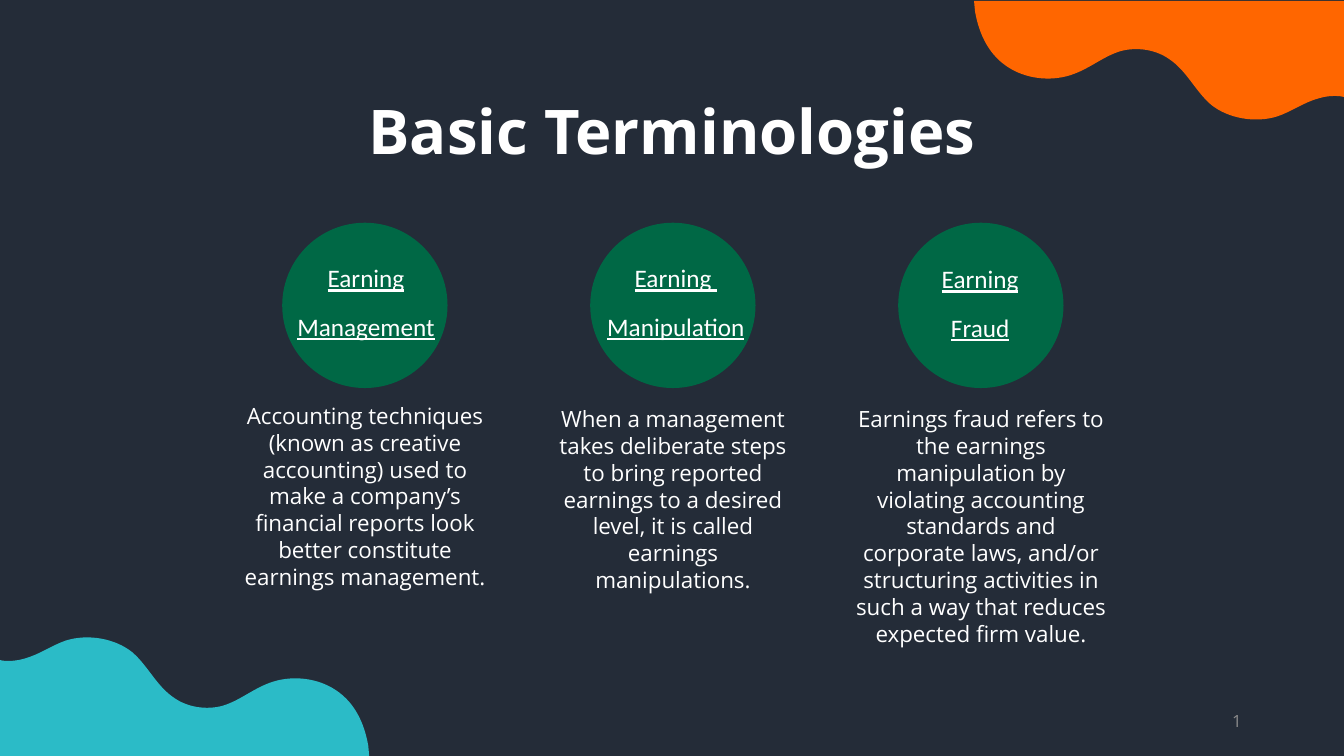
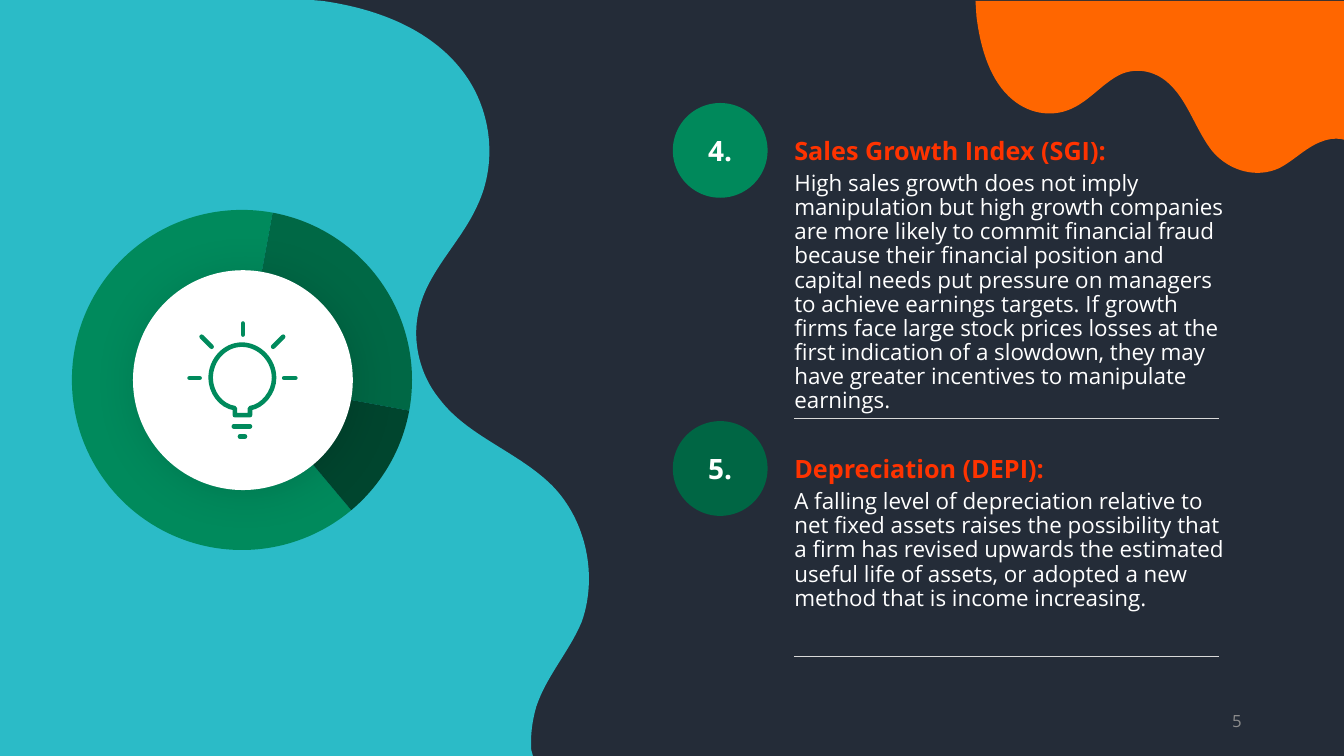
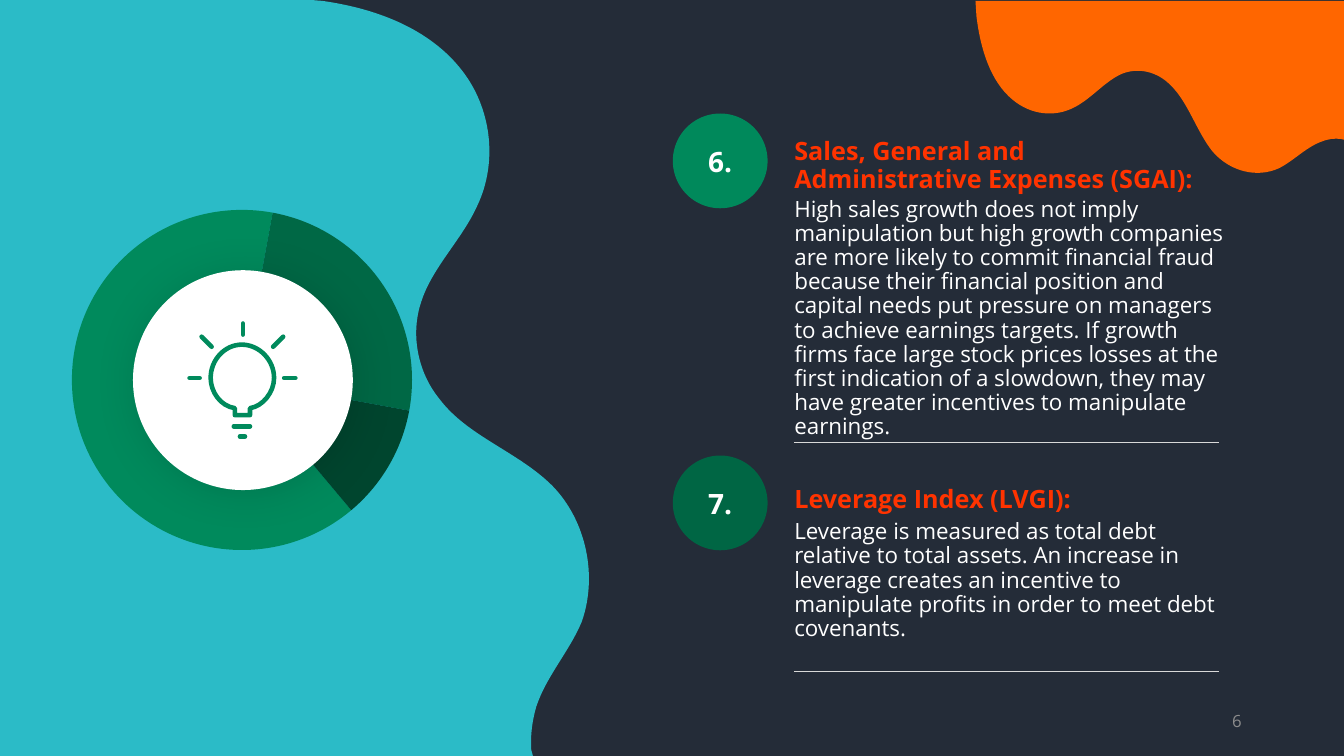
import pptx
import pptx.chart.data
import pptx.dml.color
import pptx.enum.chart
import pptx.enum.shapes
import pptx.enum.text
import pptx.oxml
import pptx.oxml.ns
import pptx.util
from lxml import etree

Pt = pptx.util.Pt
qn = pptx.oxml.ns.qn
ALIGN = pptx.enum.text.PP_ALIGN
ANCHOR = pptx.enum.text.MSO_ANCHOR
SHAPE = pptx.enum.shapes.MSO_SHAPE
FONT = "Open Sans"
COLORS = {
    "navy": "242C38", "teal": "2BBBC7", "orange": "FF6600", "white": "FFFFFF",
    "grey": "8C8C8C", "rule": "D9D9D9", "heading": "FF3300", "black": "000000",
    "first": "00895B", "second": "006644", "label": "006845",
    "ring1": "008A5C", "ring2": "006845", "ring3": "00452E",
}

DRIP_SIZE = (264.2, 123.1)
DRIP = [
    (264.2, 0), (0, 0), (0.7, 10.8),
    (3.6, 34.6, 10.8, 57.6, 26.6, 70.6),
    (39.6, 81.4, 56.9, 83.5, 71.3, 75.6),
    (83.5, 69.1, 92.9, 56.9, 105.1, 51.8),
    (116.6, 47.5, 129.6, 50.4, 139, 59.8),
    (151.9, 72, 157.7, 92.9, 169.2, 107.3),
    (181.4, 121.7, 200.9, 126.7, 216.7, 119.5),
    (226.8, 114.5, 235.4, 105.1, 246.2, 100.8),
    (251.3, 98.6, 256.3, 97.9, 261.4, 98.6), (264.2, 99.4),
]
BANK_SIZE = (421.9, 542.2)
BANK = [
    (0, 0), (214.6, 0), (231.8, 1.4),
    (272.9, 7.2, 311.8, 23, 334.1, 54.7),
    (352.8, 81.4, 356.4, 117.4, 342.7, 146.9),
    (331.9, 171.4, 310.3, 191.5, 302.4, 216),
    (294.5, 239, 299.5, 266.4, 315.4, 285.8),
    (335.5, 312.5, 371.5, 323.3, 396, 347.8),
    (420.5, 373, 428.4, 412.6, 416.9, 445),
    (408.2, 465.8, 391.7, 483.8, 384.5, 505.4),
    (381.6, 515.5, 380.2, 525.6, 380.9, 536.4),
    (382.3, 541.4), (382.3, 542.2), (0, 542.2),
]
BULB_SIZE = (45.3, 50.4)
BULB = [
    (45.3, 23.8),
    (45.3, 10.8, 34.5, 0, 22.3, 0),
    (10.1, 0, 0, 10.8, 0, 23.8),
    (0, 33.9, 7.2, 44, 17.3, 45.4),
    (17.3, 50.4), (28.1, 50.4), (28.1, 45.4),
    (37.4, 44, 45.3, 33.9, 45.3, 23.8),
]
BULB_STROKES = [
    (175, 311.8, 171.4, 311.8), (178.6, 304.6, 167, 304.6),
    (173.5, 231.1, 173.5, 239), (211, 270, 203, 270),
    (135.4, 270, 142.6, 270), (144, 240.5, 151.2, 247.7),
    (202.3, 240.5, 195.1, 247.7),
]
GROWTH = (
    "High sales growth does not imply manipulation but high growth companies are "
    "more likely to commit financial fraud because their financial position and "
    "capital needs put pressure on managers to achieve earnings targets. If growth "
    "firms face large stock prices losses at the first indication of a slowdown, "
    "they may have greater incentives to manipulate earnings."
)
TERMS = [
    (["Earning", "Management"], (168.5, 180.7, 149.8, 67.7), 287.1, 135.4,
     "Accounting techniques (known as creative accounting) used to make a company’s "
     "financial reports look better constitute earnings management."),
    (["Earning ", "Manipulation"], (389.5, 180.7, 150.5, 67.7), 289.3, 97.2,
     "When a management takes deliberate steps to bring reported earnings to a "
     "desired level, it is called earnings manipulations."),
    (["Earning", "Fraud"], (628.8, 181.4, 106.6, 66.2), 289.3, 154.8,
     "Earnings fraud refers to the earnings manipulation by violating accounting "
     "standards and corporate laws, and/or structuring activities in such a way "
     "that reduces expected firm value."),
]
INDEX_SLIDES = [
    ("5", [
        ("4.", "Sales Growth Index (SGI):", GROWTH,
         73.6, (99.4, 298, 19.4), (122.9, 157), 298.8),
        ("5.", "Depreciation (DEPI):",
         "A falling level of depreciation relative to net fixed assets raises the "
         "possibility that a firm has revised upwards the estimated useful life of "
         "assets, or adopted a new method that is income increasing.",
         300.8, (326.6, 254.2, 19.4), (350.2, 87.1), 468.7),
    ]),
    ("6", [
        ("6.", "Sales, General and Administrative Expenses (SGAI):", GROWTH,
         81.1, (99.4, 298, 39.6), (141.4, 157), 316.1),
        ("7.", "Leverage Index (LVGI):",
         "Leverage is measured as total debt relative to total assets. An increase "
         "in leverage creates an incentive to manipulate profits in order to meet "
         "debt covenants.",
         325.4, (347.8, 254.2, 19.4), (371.7, 69.8), 479.5),
    ]),
]


def rgb(name):
    return pptx.dml.color.RGBColor.from_string(COLORS[name])


def paint(fill, color):
    fill.solid()
    fill.fore_color.rgb = rgb(color)


def outline(line, color, width):
    paint(line.fill, color)
    line.width = Pt(width)


def round_ends(sp):
    sp.line._get_or_add_ln().set("cap", "rnd")


def style(p, size, color, bold=None, align=None, font=FONT):
    p.font.name, p.font.size, p.font.bold = font, Pt(size), bold
    p.font.color.rgb = rgb(color)
    p.alignment = align


def add_curve(slide, steps, size, left, top, sy=1):
    width, height = Pt(size[0]), Pt(size[1] * sy)
    builder = slide.shapes.build_freeform(0, 0)
    builder.add_line_segments([(width, 0), (width, height), (0, height)])
    sp = builder.convert_to_shape(Pt(left), Pt(top))
    sp.shadow.inherit = False
    outline_path = sp._element.spPr.find(".//" + qn("a:path"))
    for node in list(outline_path):
        outline_path.remove(node)
    for i, step in enumerate(steps):
        tag = "a:moveTo" if i == 0 else "a:lnTo" if len(step) == 2 else "a:cubicBezTo"
        node = etree.SubElement(outline_path, qn(tag))
        for x, y in zip(step[::2], step[1::2]):
            etree.SubElement(node, qn("a:pt"), x=str(Pt(x)), y=str(Pt(y * sy)))
    etree.SubElement(outline_path, qn("a:close"))
    return sp


def add_wave(slide, color, *place):
    sp = add_curve(slide, *place)
    paint(sp.fill, color)
    sp.line.fill.background()
    return sp


def add_plain(slide, kind, left, top, width, height, color):
    sp = slide.shapes.add_shape(kind, Pt(left), Pt(top), Pt(width), Pt(height))
    sp.shadow.inherit = False
    paint(sp.fill, color)
    sp.line.fill.background()
    return sp


def add_circle(slide, left, top, size, color):
    return add_plain(slide, SHAPE.OVAL, left, top, size, size, color)


def add_line(slide, x1, y1, x2, y2, color, width):
    sp = slide.shapes.add_connector(pptx.enum.shapes.MSO_CONNECTOR.STRAIGHT,
                                    Pt(x1), Pt(y1), Pt(x2), Pt(y2))
    outline(sp.line, color, width)
    etree.SubElement(sp._element.spPr, qn("a:effectLst"))
    return sp


def no_insets(tf):
    tf.margin_left = tf.margin_right = tf.margin_top = tf.margin_bottom = 0


def add_text(slide, box, text, size, color, bold=None, align=None):
    tf = slide.shapes.add_textbox(*map(Pt, box)).text_frame
    tf.word_wrap = True
    no_insets(tf)
    p = tf.paragraphs[0]
    p.text = text
    style(p, size, color, bold, align)
    return p


def add_page_number(slide, number):
    tf = slide.shapes.add_textbox(Pt(678), Pt(500.4), Pt(216), Pt(28.8)).text_frame
    tf.word_wrap = True
    tf.vertical_anchor = ANCHOR.MIDDLE
    tf.text = number
    style(tf.paragraphs[0], 12, "grey", align=ALIGN.RIGHT)


def add_title(slide, text):
    sp = slide.shapes.title
    sp.left, sp.top, sp.width, sp.height = Pt(66.2), Pt(68.4), Pt(828), Pt(55.4)
    tf = sp.text_frame
    tf.text = text
    tf.vertical_anchor = ANCHOR.MIDDLE
    p = tf.paragraphs[0]
    style(p, 44, "white", True, ALIGN.CENTER)
    p.line_spacing = 0.9


def add_term_label(slide, box, lines):
    tf = slide.shapes.add_textbox(*map(Pt, box)).text_frame
    tf.word_wrap = False
    tf.text = "\n".join(lines)
    for p in tf.paragraphs:
        style(p, 18, "white", align=ALIGN.CENTER, font="Calibri")
        p.font.underline = True
        p.line_spacing = 1.15
        p.space_after = Pt(10)
        p._p.get_or_add_pPr().set("marL", str(Pt(36)))


def add_ring(slide):
    data = pptx.chart.data.CategoryChartData()
    data.categories = ["1", "2", "3"]
    data.add_series("Series 1", (64, 25, 11))
    chart = slide.shapes.add_chart(pptx.enum.chart.XL_CHART_TYPE.DOUGHNUT, Pt(13), Pt(139.7),
                                   Pt(319.7), Pt(263.5), data).chart
    chart.has_legend = chart.has_title = False
    chart.font.name, chart.font.size = FONT, Pt(10)
    chart.font.color.rgb = rgb("black")
    plot = chart.plots[0]
    plot.vary_by_categories = False
    for i, color in enumerate(("ring1", "ring2", "ring3")):
        point = plot.series[0].points[i]
        paint(point.format.fill, color)
        point.format.line.fill.background()
    doughnut = plot._element
    for tag, value in (("c:firstSliceAng", "140"), ("c:holeSize", "55")):
        node = doughnut.find(qn(tag))
        if node is None:
            node = etree.SubElement(doughnut, qn(tag))
        node.set("val", value)
    area = doughnut.getparent()
    for node in area.findall(qn("c:layout")):
        area.remove(node)
    layout = etree.Element(qn("c:layout"))
    manual = etree.SubElement(layout, qn("c:manualLayout"))
    for tag, value in (("layoutTarget", "inner"), ("xMode", "edge"), ("yMode", "edge"),
                       ("x", "0.12"), ("y", "0.03"), ("w", "0.76"), ("h", "0.94")):
        etree.SubElement(manual, qn("c:" + tag)).set("val", value)
    area.insert(0, layout)


def add_soft_shadow(sp):
    effects = sp._element.spPr.find(qn("a:effectLst"))
    shadow = etree.SubElement(effects, qn("a:outerShdw"), blurRad=str(Pt(30)),
                              dist=str(Pt(3)), dir="2700000", algn="tl", rotWithShape="0")
    color = etree.SubElement(shadow, qn("a:srgbClr"), val=COLORS["black"])
    etree.SubElement(color, qn("a:alpha"), val="12000")


def add_bulb(slide):
    sp = add_curve(slide, BULB, BULB_SIZE, 150.5, 246.2)
    sp.fill.background()
    outline(sp.line, "ring1", 3.25)
    round_ends(sp)
    for stroke in BULB_STROKES:
        round_ends(add_line(slide, *stroke, "ring1", 3.25))


def add_index(slide, color, number, heading, body, circle_top,
              heading_box, body_box, rule_y):
    sp = add_circle(slide, 480.6, circle_top, 67.7, color)
    tf = sp.text_frame
    no_insets(tf)
    tf.vertical_anchor = ANCHOR.MIDDLE
    tf.text = number
    style(tf.paragraphs[0], 20, "white", True, ALIGN.CENTER)
    body_top, body_height = body_box
    for p in (add_text(slide, (567.4, body_top, 309.6, body_height), body, 16, "white"),
              add_text(slide, (567.4, *heading_box), heading, 18, "heading", True)):
        p.line_spacing = 0.9
        p.space_before = Pt(10)
    add_line(slide, 567.4, rule_y, 870.5, rule_y, "rule", 0.5)


def add_master_backdrop(prs, slide):
    sp = add_plain(slide, SHAPE.RECTANGLE, -0.5, 0, 960.5, 540, "navy")
    prs.slide_master.shapes._spTree.insert(2, sp._element)


def build_terms(prs):
    slide = prs.slides.add_slide(prs.slide_layouts[5])
    add_master_backdrop(prs, slide)
    add_wave(slide, "teal", DRIP, DRIP_SIZE, -0.5, 455, 0.69).rotation = 180
    add_wave(slide, "orange", DRIP, DRIP_SIZE, 695.8, 0.7, 0.69)
    add_title(slide, "Basic Terminologies")
    for i, (label, label_box, top, height, text) in enumerate(TERMS):
        add_circle(slide, 201.6 + 220 * i, 159.1, 118.1, "label")
        add_term_label(slide, label_box, label)
        add_text(slide, (171.4 + 220 * i, top, 178.6, height), text, 16, "white",
                 align=ALIGN.CENTER)
    add_page_number(slide, "1")


def build_indexes(prs, page, items):
    slide = prs.slides.add_slide(prs.slide_layouts[6])
    add_wave(slide, "teal", BANK, BANK_SIZE, -1.4, -0.7)
    add_wave(slide, "orange", DRIP, DRIP_SIZE, 696.8, 0.7)
    add_page_number(slide, page)
    add_ring(slide)
    add_soft_shadow(add_circle(slide, 95, 193, 157, "white"))
    for color, item in zip(("first", "second"), items):
        add_index(slide, color, *item)
    add_bulb(slide)


def main():
    prs = pptx.Presentation()
    prs.slide_width, prs.slide_height = Pt(960), Pt(540)
    build_terms(prs)
    for page, items in INDEX_SLIDES:
        build_indexes(prs, page, items)
    prs.save("out.pptx")


main()
